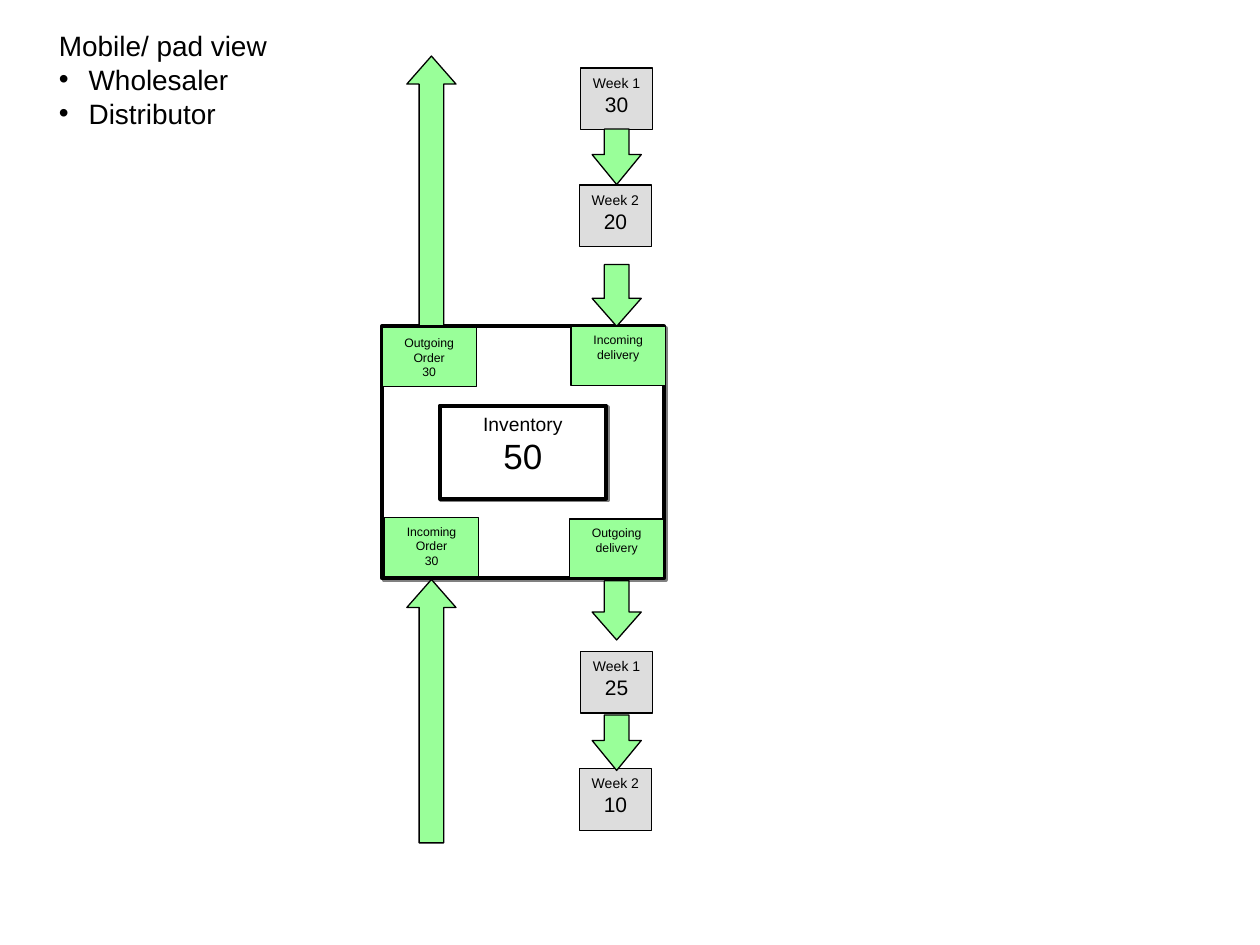
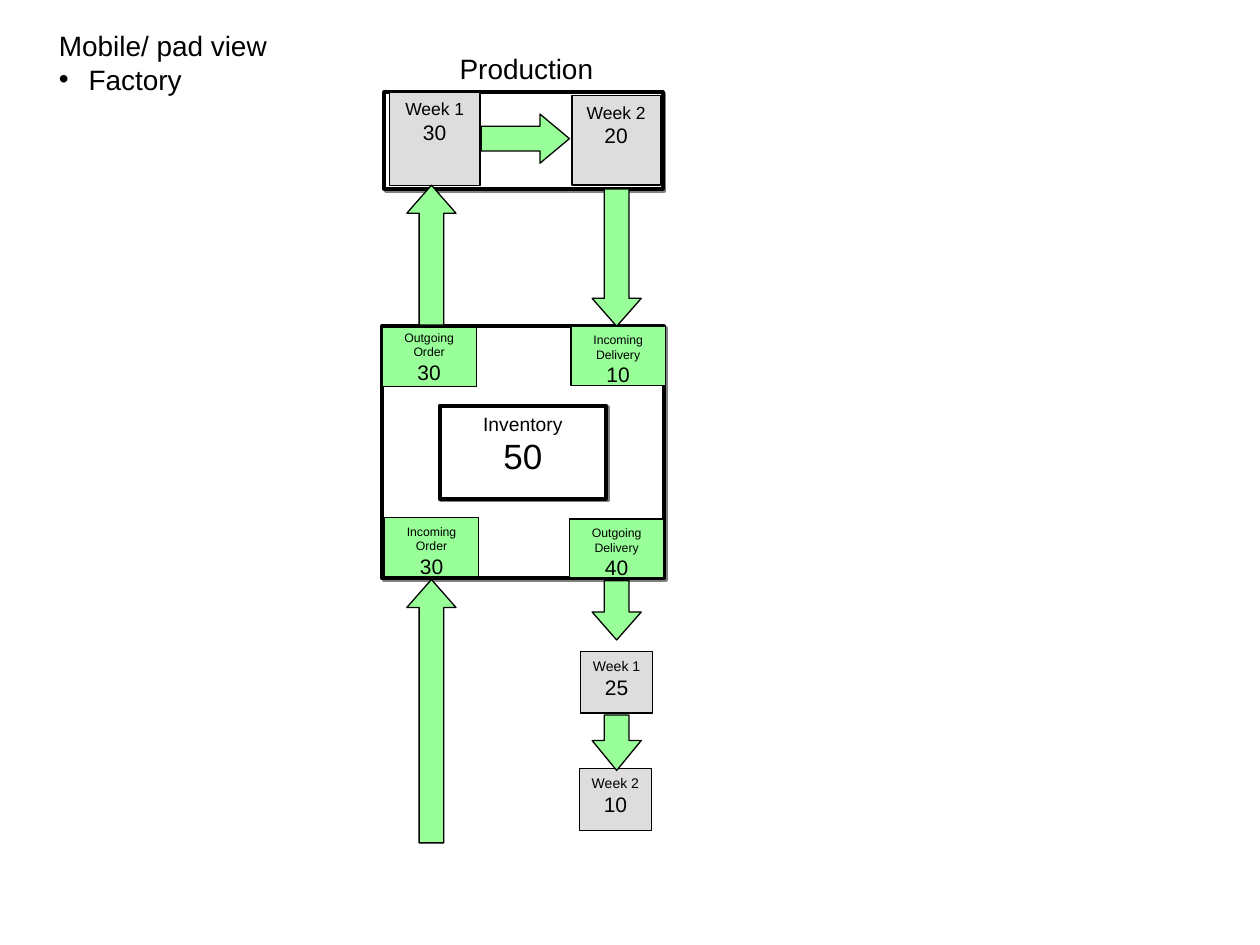
import dataclasses

import lxml.etree
import pptx
import pptx.dml.color
import pptx.enum.shapes
import pptx.enum.text
import pptx.oxml.ns
import pptx.util

Pt = pptx.util.Pt
Shape = pptx.enum.shapes.MSO_SHAPE
Align = pptx.enum.text.PP_ALIGN
Anchor = pptx.enum.text.MSO_ANCHOR

FONT = "Arial"
BLACK, WHITE, GREY, GREEN, SHADOW = "000000", "FFFFFF", "DDDDDD", "99FF99", "808080"
THIN, THICK = 0.74, 2.24
ARROW_WIDTH = 28.1
UP, RIGHT, DOWN = 90, 180, 270
ORDER_X, DELIVERY_X = 246.5, 352.4
WEEK_SIZE = (41, 35.3)
CORNER_SIZE = (54, 33.8)


@dataclasses.dataclass
class Line:
    text: str
    size: float
    bullet: bool = False


@dataclasses.dataclass
class Box:
    left: float
    top: float
    width: float
    height: float
    fill: str = WHITE
    lines: tuple[Line, ...] = ()
    framed: bool = False
    anchor: Anchor = Anchor.TOP


@dataclasses.dataclass
class Arrow:
    center_x: float
    center_y: float
    length: float
    turn: int
    head: float = 0.57


def color(value: str) -> pptx.dml.color.RGBColor:
    return pptx.dml.color.RGBColor.from_string(value)


def add_element(parent, tag: str, **attributes: str):
    return lxml.etree.SubElement(parent, pptx.oxml.ns.qn(tag), attributes)


def write(para, text: str, *, size: float, align: Align = Align.LEFT,
          ink: str = BLACK, bullet: bool = False) -> None:
    para.alignment = align
    span = para.add_run()
    span.text = text
    span.font.name = FONT
    span.font.size = Pt(size)
    span.font.color.rgb = color(ink)
    if bullet:
        properties = para._p.get_or_add_pPr()
        properties.set("marL", str(Pt(17)))
        properties.set("indent", str(-Pt(17)))
        add_element(properties, "a:buFont", typeface=FONT)
        add_element(properties, "a:buChar", char="•")


def write_lines(frame, lines: tuple[Line, ...], align: Align) -> None:
    frame.word_wrap = False
    for index, line in enumerate(lines):
        para = frame.add_paragraph() if index else frame.paragraphs[0]
        write(para, line.text, size=line.size, align=align, bullet=line.bullet)


def add_solid(page, kind: Shape, left: float, top: float, width: float,
              height: float, fill: str, weight: float):
    shape = page.shapes.add_shape(kind, Pt(left), Pt(top), Pt(width), Pt(height))
    shape.shadow.inherit = False
    shape.fill.solid()
    shape.fill.fore_color.rgb = color(fill)
    shape.line.color.rgb = color(BLACK)
    shape.line.width = Pt(weight)
    return shape


def draw_box(page, box: Box) -> None:
    shape = add_solid(page, Shape.RECTANGLE, box.left, box.top, box.width,
                      box.height, box.fill, THICK if box.framed else THIN)
    if box.framed:
        effects = shape._element.spPr.find(pptx.oxml.ns.qn("a:effectLst"))
        shadow = add_element(effects, "a:outerShdw", dist=str(Pt(1.4)),
                             dir="2700000", algn="ctr", rotWithShape="0")
        add_element(shadow, "a:srgbClr", val=SHADOW)
    shape.text_frame.vertical_anchor = box.anchor
    write_lines(shape.text_frame, box.lines, Align.CENTER)


def draw_arrow(page, arrow: Arrow) -> None:
    shape = add_solid(page, Shape.LEFT_ARROW, arrow.center_x - arrow.length / 2,
                      arrow.center_y - ARROW_WIDTH / 2, arrow.length,
                      ARROW_WIDTH, GREEN, THIN)
    shape.rotation = arrow.turn
    shape.adjustments[0] = 0.5
    shape.adjustments[1] = arrow.head


def draw_label(page, left: float, top: float, width: float, height: float,
               *lines: Line) -> None:
    label = page.shapes.add_textbox(Pt(left), Pt(top), Pt(width), Pt(height))
    write_lines(label.text_frame, lines, Align.LEFT)
    label.text_frame.auto_size = pptx.enum.text.MSO_AUTO_SIZE.SHAPE_TO_FIT_TEXT


def week(left: float, top: float, number: int, amount: str,
         size: tuple[float, float] = WEEK_SIZE, caption: float = 8) -> Box:
    lines = (Line(f"Week {number}", caption), Line(amount, 12))
    return Box(left, top, *size, GREY, lines)


def corner(left: float, top: float, words: str, amount: str, amount_size: float,
           anchor: Anchor = Anchor.TOP) -> Box:
    lines = [Line(word, 7) for word in words.split()]
    if amount:
        lines.append(Line(amount, amount_size))
    return Box(left, top, *CORNER_SIZE, GREEN, tuple(lines), anchor=anchor)


def draw_heading(page, *roles: str) -> None:
    bullets = [Line(role, 16, bullet=True) for role in roles]
    draw_label(page, 26.6, 13, 136.8, 26.6 + 19.1 * len(roles),
               Line("Mobile/ pad view", 16), *bullets)


def draw_station(page, delivery: str, received: str, sent: str,
                 amount_size: float) -> None:
    boxes = (
        Box(218.2, 186.5, 161.3, 144, framed=True),
        corner(218.2, 187.2, "Outgoing Order", "30", amount_size, Anchor.MIDDLE),
        corner(219.6, 295.9, "Incoming Order", "30", amount_size),
        corner(326.2, 186.5, f"Incoming {delivery}", received, amount_size),
        corner(325.4, 296.6, f"Outgoing {delivery}", sent, amount_size),
        Box(251.3, 231.8, 95, 53.3, framed=True,
            lines=(Line("Inventory", 11), Line("50", 20))),
        week(331.9, 372.2, 1, "25"),
        week(331.2, 439.2, 2, "10"),
    )
    arrows = (
        Arrow(DELIVERY_X, 348.8, 33.8, DOWN),
        Arrow(ORDER_X, 406.4, 150.5, UP),
        Arrow(DELIVERY_X, 424.4, 31.7, DOWN, 0.61),
    )
    draw_all(page, boxes, arrows)


def draw_all(page, boxes: tuple[Box, ...], arrows: tuple[Arrow, ...]) -> None:
    for box in boxes:
        draw_box(page, box)
    for arrow in arrows:
        draw_arrow(page, arrow)


def draw_trader(page) -> None:
    draw_heading(page, "Wholesaler", "Distributor")
    draw_station(page, "delivery", "", "", 7)
    boxes = (week(331.9, 38.9, 1, "30"), week(331.2, 105.8, 2, "20"))
    arrows = (
        Arrow(ORDER_X, 109.1, 154.1, UP),
        Arrow(DELIVERY_X, 168.8, 35.3, DOWN),
        Arrow(DELIVERY_X, 89.6, 31.7, DOWN, 0.61),
    )
    draw_all(page, boxes, arrows)


def draw_factory(page) -> None:
    draw_label(page, 255.6, 25.9, 90.7, 26.6, Line("Production", 16))
    draw_station(page, "Delivery", "10", "40", 12)
    boxes = (
        Box(219.6, 52.6, 159.1, 55.4, framed=True),
        week(326.9, 54.7, 2, "20", (50.4, 51.1), 10),
        week(222.5, 52.6, 1, "30", (51.8, 53.3), 10),
    )
    arrows = (
        Arrow(ORDER_X, 145.8, 79.9, UP),
        Arrow(DELIVERY_X, 147.2, 78.5, DOWN),
        Arrow(300.2, 79.2, 50.4, RIGHT, 0.6),
    )
    draw_all(page, boxes, arrows)
    draw_heading(page, "Factory")


deck = pptx.Presentation()
deck.slide_width, deck.slide_height = Pt(720), Pt(540)
for draw_page in (draw_trader, draw_factory):
    draw_page(deck.slides.add_slide(deck.slide_layouts[6]))
deck.save("out.pptx")
